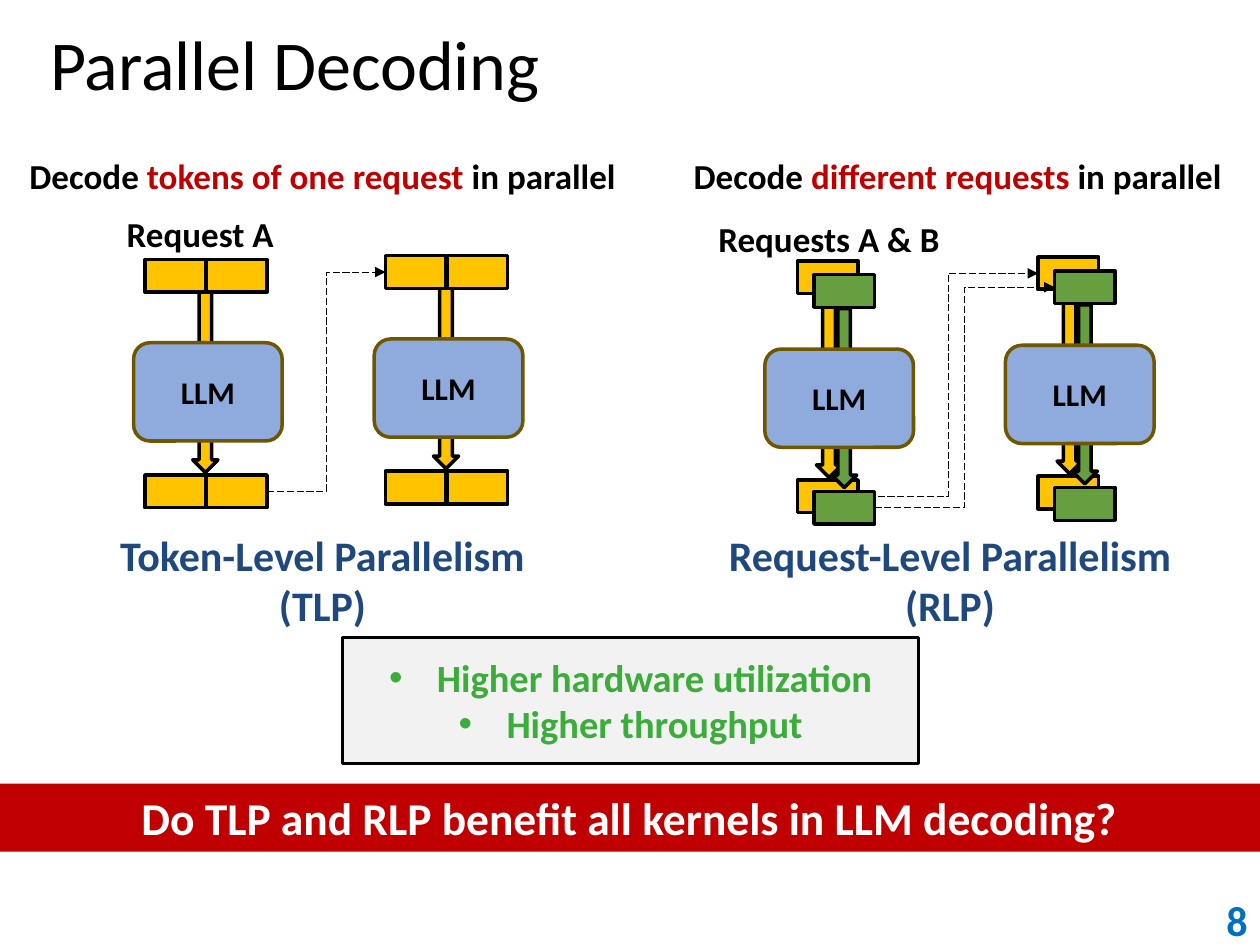
from lxml import etree
from pptx import Presentation
from pptx.dml.color import RGBColor
from pptx.enum.dml import MSO_LINE
from pptx.enum.shapes import MSO_CONNECTOR, MSO_SHAPE
from pptx.enum.text import MSO_ANCHOR, PP_ALIGN
from pptx.oxml.ns import qn
from pptx.util import Inches, Pt

RECT, ROUNDED, DOWN = MSO_SHAPE.RECTANGLE, MSO_SHAPE.ROUNDED_RECTANGLE, MSO_SHAPE.DOWN_ARROW
ELBOW, LONG_DASH = MSO_CONNECTOR.ELBOW, MSO_LINE.LONG_DASH
LEFT, CENTER, RIGHT = PP_ALIGN.LEFT, PP_ALIGN.CENTER, PP_ALIGN.RIGHT
TOP, MIDDLE = MSO_ANCHOR.TOP, MSO_ANCHOR.MIDDLE
FONT = "Calibri"
BLACK, WHITE, RED, NAVY = "000000", "FFFFFF", "C00000", "1F497D"
YELLOW, GREEN = "FFC300", "669E40"
TOKEN_W, TOKEN_H = 0.48, 0.26
ARROW_W, ARROW_H = 0.2, 1.44
STEP_DX, STEP_DY = 1.91, -0.03  # from one decoding step to the next


def color(value):
    return RGBColor.from_string(value)


def write(sp, paragraphs, size, bold=True, align=CENTER, anchor=TOP):
    """Fill a shape with paragraphs, each a list of (text, colour) runs."""
    tf = sp.text_frame
    tf.word_wrap = True
    tf.vertical_anchor = anchor
    for i, runs in enumerate(paragraphs):
        p = tf.paragraphs[0] if i == 0 else tf.add_paragraph()
        p.alignment = align
        for text, fill in runs:
            r = p.add_run()
            r.text = text
            r.font.name, r.font.size, r.font.bold = FONT, Pt(size), bold
            r.font.color.rgb = color(fill)
    return tf


def add_text(slide, x, y, w, h, paragraphs, size, **style):
    sp = slide.shapes.add_textbox(Inches(x), Inches(y), Inches(w), Inches(h))
    return write(sp, paragraphs, size, **style)


def add_box(slide, kind, x, y, w, h, fill, line=BLACK):
    sp = slide.shapes.add_shape(kind, Inches(x), Inches(y), Inches(w), Inches(h))
    sp.shadow.inherit = False
    sp.fill.solid()
    sp.fill.fore_color.rgb = color(fill)
    if line:
        sp.line.color.rgb = color(line)
        sp.line.width = Pt(2)
    else:
        sp.line.fill.background()
    return sp


def add_token(slide, x, y, fill=YELLOW):
    return add_box(slide, RECT, x, y, TOKEN_W, TOKEN_H, fill)


def add_token_pair(slide, x, y):
    return [add_token(slide, x + i * 0.49, y) for i in range(2)]


def add_llm(slide, x, y):
    sp = add_box(slide, ROUNDED, x, y, 1.18, 0.78, "8FAADC", "6F5700")
    tf = write(sp, [[("LLM", BLACK)]], 18, anchor=MIDDLE)
    tf.margin_left = tf.margin_right = tf.margin_top = tf.margin_bottom = 0


def add_feedback(slide, source, target):
    """Dashed elbow arrow from the right side of source to the left side of target."""
    line = slide.shapes.add_connector(ELBOW, 0, 0, 0, 0)
    line.begin_connect(source, 3)
    line.end_connect(target, 1)
    line.line.color.rgb = color(BLACK)
    line.line.width = Pt(0.5)
    line.line.dash_style = LONG_DASH
    etree.SubElement(line.line._get_or_add_ln(), qn("a:tailEnd"), type="triangle")
    etree.SubElement(line._element.spPr, qn("a:effectLst"))


def add_bullets(tf):
    for p in tf.paragraphs:
        pPr = p._p.get_or_add_pPr()
        pPr.set("marL", str(Inches(0.38)))
        pPr.set("indent", str(Inches(-0.38)))
        etree.SubElement(pPr, qn("a:buFont"), typeface="Arial")
        etree.SubElement(pPr, qn("a:buChar"), char="•")


def token_step(slide, x, y):
    """Two tokens of one request through the LLM; returns first input and last output."""
    add_box(slide, DOWN, x + 0.47, y + 0.25, ARROW_W, ARROW_H, YELLOW)
    inputs = add_token_pair(slide, x + 0.09, y)
    outputs = add_token_pair(slide, x + 0.09, y + 1.71)
    add_llm(slide, x, y + 0.66)
    return inputs[0], outputs[-1]


def request_step(slide, x, y):
    """Two requests through the LLM; returns both inputs and the yellow output."""
    add_box(slide, DOWN, x + 0.41, y + 0.28, ARROW_W, ARROW_H, YELLOW)
    yellow_in = add_token(slide, x + 0.26, y)
    green_in = add_token(slide, x + 0.39, y + 0.11, GREEN)
    yellow_out = add_token(slide, x + 0.26, y + 1.74)
    add_box(slide, DOWN, x + 0.53, y + 0.38, ARROW_W, 1.42, GREEN)
    add_llm(slide, x, y + 0.7)
    return yellow_in, green_in, yellow_out


def step_origins(x, y):
    return [(x + i * STEP_DX, y + i * STEP_DY) for i in range(2)]


def token_level(slide):
    first, second = [token_step(slide, x, y) for x, y in step_origins(1.06, 2.06)]
    add_feedback(slide, first[1], second[0])


def request_level(slide):
    origins = step_origins(6.07, 2.07)
    first, second = [request_step(slide, x, y) for x, y in origins]
    add_feedback(slide, first[2], second[0])
    green_outs = [add_token(slide, x + 0.39, y + 1.83, GREEN) for x, y in origins]
    add_feedback(slide, green_outs[0], second[1])


def main():
    prs = Presentation()
    prs.slide_width, prs.slide_height = Inches(10), Inches(7.5)
    slide = prs.slides.add_slide(prs.slide_layouts[6])

    title = add_text(slide, 0, 0, 10, 1, [[("Parallel Decoding", BLACK)]], 40,
                     bold=False, align=LEFT, anchor=MIDDLE)
    title.margin_left = Inches(0.4)
    add_text(slide, 8, 7.1, 2, 0.4, [[("8", "0070C0")]], 24, align=RIGHT, anchor=MIDDLE)

    for x, w, subject in ((-0.08, 5.28, "tokens of one request "),
                          (5.08, 5.04, "different requests ")):
        add_text(slide, x, 1.18, w, 0.44,
                 [[("Decode ", BLACK), (subject, RED), ("in parallel", BLACK)]], 20)
    for x, w, name, short in ((0.71, 3.7, "Token-Level Parallelism", "(TLP)"),
                              (5.49, 4.1, "Request-Level Parallelism", "(RLP)")):
        add_text(slide, x, 4.15, w, 0.91, [[(name, NAVY)], [(short, NAVY)]], 24)
    for x, y, w, label in ((0.76, 1.64, 1.66, "Request A"),
                           (5.41, 1.68, 2.34, "Requests A & B")):
        add_text(slide, x, y, w, 0.44, [[(label, BLACK)]], 20)

    token_level(slide)
    request_level(slide)

    question = add_box(slide, RECT, 0, 6.22, 10, 0.54, RED, line=None)
    write(question, [[("Do TLP and RLP benefit all kernels in LLM decoding?", WHITE)]], 26)
    benefits = add_box(slide, RECT, 2.72, 5.06, 4.57, 1, "F2F2F2")
    add_bullets(write(benefits, [[("Higher hardware utilization", "3CAC3A")],
                                 [("Higher throughput", "3CAC3A")]], 22, anchor=MIDDLE))
    prs.save("out.pptx")


if __name__ == "__main__":
    main()
